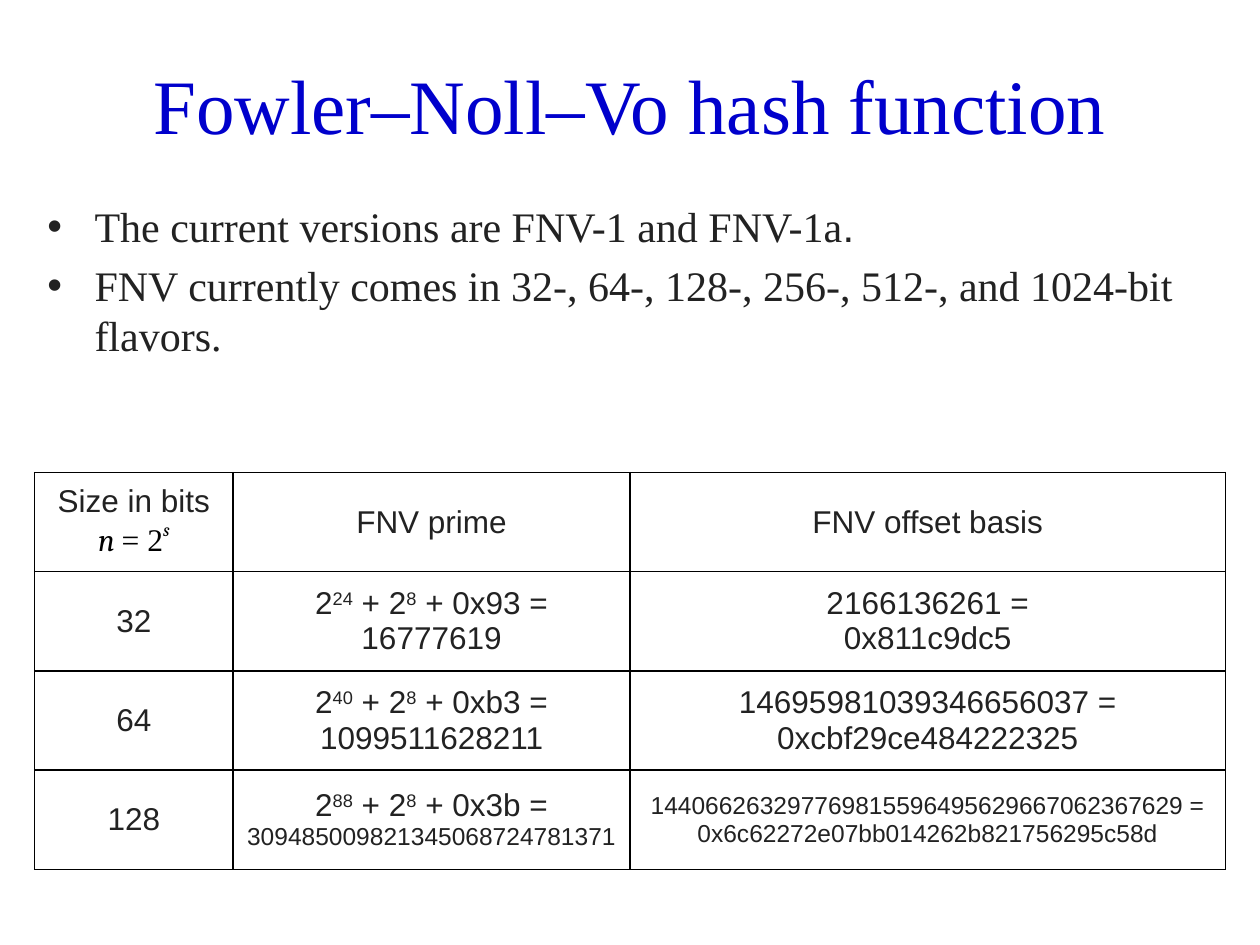
from copy import deepcopy

from lxml import etree
from pptx import Presentation
from pptx.dml.color import RGBColor
from pptx.enum.text import MSO_ANCHOR, MSO_AUTO_SIZE, PP_ALIGN
from pptx.oxml.ns import qn
from pptx.util import Pt

CENTER, LEFT = PP_ALIGN.CENTER, PP_ALIGN.LEFT
MIDDLE, TOP = MSO_ANCHOR.MIDDLE, MSO_ANCHOR.TOP
NO_AUTOFIT = MSO_AUTO_SIZE.NONE

THEME = {
    "title": {"size": 44, "font": "Times New Roman", "color": "0000CC"},
    "body": {"size": 24, "font": "Times New Roman", "color": "222222"},
    "table": {"size": 18, "font": "Arial", "color": "222222"},
    "border": "000000",
}
VARIABLE = {"font": "Cambria", "color": "000000", "italic": True}
EQUALS = {"font": "Times New Roman", "color": "000000"}
SMALL = {"size": 14}
SUPERSCRIPT = {"baseline": 30}


def prime(exponent, rest, value, **value_format):
    """Runs for 2^exponent + 2^8 + rest = value."""
    return [["2", (exponent, SUPERSCRIPT), " + 2", ("8", SUPERSCRIPT),
             f" + {rest} =\n", (value, value_format)]]


# Content: a text is a list of paragraphs, a paragraph a list of runs,
# a run either plain text or (text, format)
TITLE = [["Fowler–Noll–Vo hash function"]]
BULLETS = [
    ["The current versions are FNV-1 and FNV-1a", (".", {"font": "Arial"})],
    ["FNV currently comes in 32-, 64-, 128-, 256-, 512-, and 1024-bit flavors."],
]
ROWS = [
    [[["Size in bits"],
      [("n ", VARIABLE), ("= 2", EQUALS), ("s", {**VARIABLE, "baseline": 50})]],
     [["FNV prime"]],
     [["FNV offset basis"]]],
    [[["32"]],
     prime("24", "0x93", "16777619"),
     [["2166136261 =\n0x811c9dc5"]]],
    [[["64"]],
     prime("40", "0xb3", "1099511628211"),
     [["14695981039346656037 =\n0xcbf29ce484222325"]]],
    [[["128"]],
     prime("88", "0x3b", "309485009821345068724781371", **SMALL),
     [[("144066263297769815596495629667062367629 =\n"
        "0x6c62272e07bb014262b821756295c58d", SMALL)]]],
]

# Layout in points
MARGIN, CONTENT_WIDTH = 19.8, 680.4
TITLE_TOP, TITLE_HEIGHT = 20, 79
BODY_TOP, BODY_HEIGHT = 111, 102
TABLE_TOP, ROW_HEIGHT = 270, 56.7
COLUMN_SHARES = (1, 2, 3)
BULLET_INDENT = 27


def add_run(paragraph, text, size, font, color, italic=False, baseline=0):
    for number, line in enumerate(text.split("\n")):
        if number:
            paragraph.add_line_break()
            paragraph._p[-1].append(deepcopy(run._r.rPr))
        if not line:
            continue
        run = paragraph.add_run()
        run.text = line
        run.font.size = Pt(size)
        run.font.name = font
        run.font.italic = italic
        run.font.color.rgb = RGBColor.from_string(color)
        if baseline:
            run._r.rPr.set("baseline", str(baseline * 1000))


def write_text(text_frame, paragraphs, align=LEFT, bullet=None, space_before=0,
               **text_format):
    for number, runs in enumerate(paragraphs):
        paragraph = text_frame.add_paragraph() if number else text_frame.paragraphs[0]
        paragraph.alignment = align
        paragraph.space_before = Pt(space_before)
        if bullet:
            properties = paragraph._p.get_or_add_pPr()
            properties.set("marL", str(Pt(BULLET_INDENT)))
            properties.set("indent", str(-Pt(BULLET_INDENT)))
            etree.SubElement(properties, qn("a:buChar")).set("char", bullet)
        for run in runs:
            text, changes = (run, {}) if isinstance(run, str) else run
            add_run(paragraph, text, **{**text_format, **changes})


def place(shape, top, height, anchor):
    shape.left, shape.top = Pt(MARGIN), Pt(top)
    shape.width, shape.height = Pt(CONTENT_WIDTH), Pt(height)
    shape.text_frame.auto_size = NO_AUTOFIT
    shape.text_frame.vertical_anchor = anchor


def add_borders(cell, color):
    properties = cell._tc.get_or_add_tcPr()
    for position, side in enumerate(("lnL", "lnR", "lnT", "lnB")):
        line = etree.Element(qn(f"a:{side}"), w=str(Pt(1)))
        fill = etree.SubElement(line, qn("a:solidFill"))
        etree.SubElement(fill, qn("a:srgbClr")).set("val", color)
        properties.insert(position, line)


def main():
    presentation = Presentation()
    presentation.slide_width, presentation.slide_height = Pt(720), Pt(540)
    slide = presentation.slides.add_slide(presentation.slide_layouts[1])

    # Title and bullets
    title, body = slide.shapes.title, slide.placeholders[1]
    place(title, TITLE_TOP, TITLE_HEIGHT, MIDDLE)
    write_text(title.text_frame, TITLE, align=CENTER, **THEME["title"])
    place(body, BODY_TOP, BODY_HEIGHT, TOP)
    write_text(body.text_frame, BULLETS, bullet="•", space_before=4.8, **THEME["body"])

    # Table of parameters
    table = slide.shapes.add_table(
        len(ROWS), len(COLUMN_SHARES), Pt(MARGIN), Pt(TABLE_TOP),
        Pt(CONTENT_WIDTH), Pt(ROW_HEIGHT * len(ROWS))).table
    table.first_row = table.horz_banding = False
    for column, share in zip(table.columns, COLUMN_SHARES):
        column.width = Pt(CONTENT_WIDTH * share / sum(COLUMN_SHARES))
    for row, texts in zip(table.rows, ROWS):
        row.height = Pt(ROW_HEIGHT)
        for cell, text in zip(row.cells, texts):
            cell.fill.background()
            cell.vertical_anchor = MIDDLE
            add_borders(cell, THEME["border"])
            write_text(cell.text_frame, text, align=CENTER, **THEME["table"])

    presentation.save("out.pptx")


if __name__ == "__main__":
    main()
